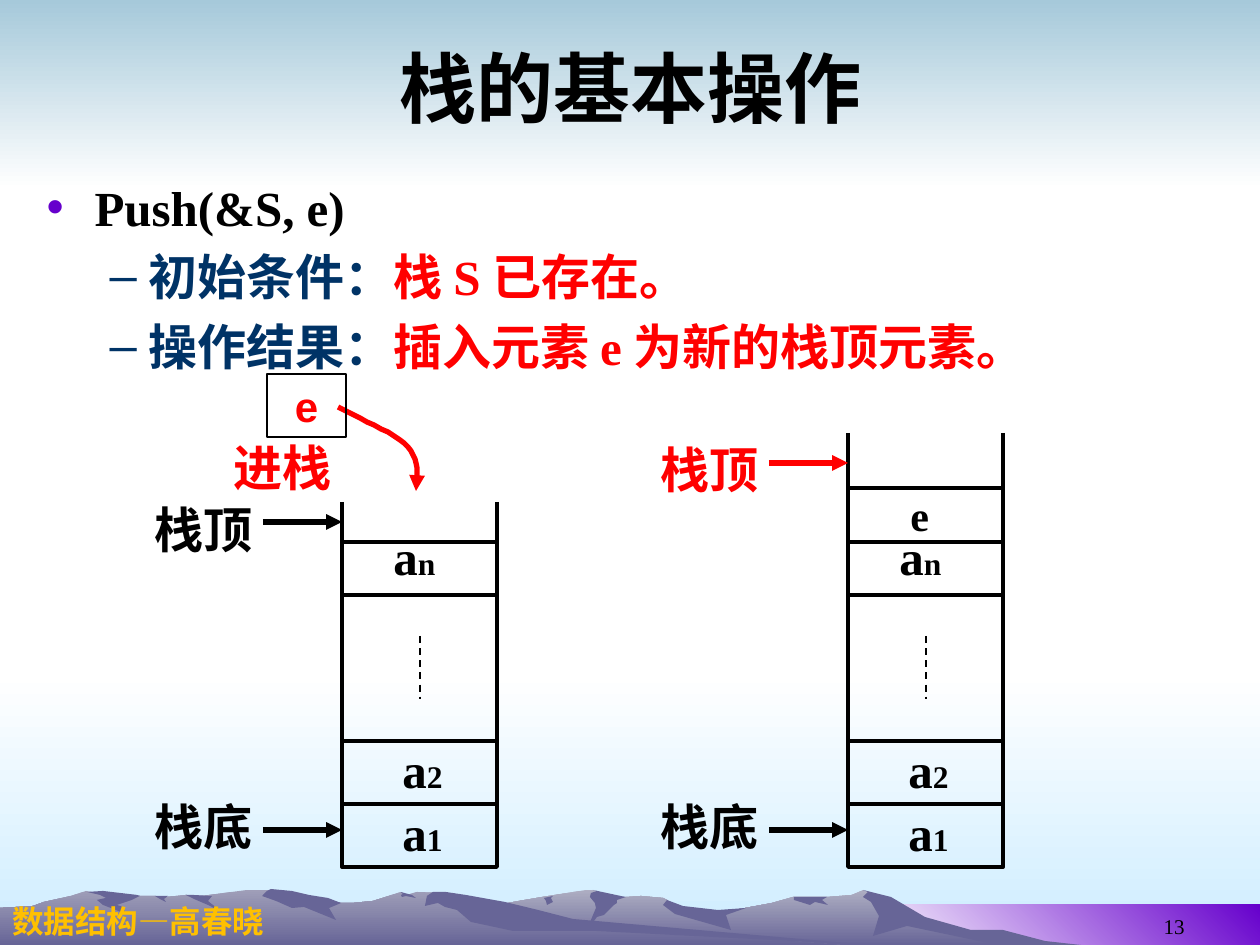
"""Build the slide on pushing an element onto a stack."""
from lxml import etree
from pptx import Presentation
from pptx import util as u
from pptx.dml import color
from pptx.enum import dml, shapes, text
from pptx.oxml import ns

SCALE = 914400 / 126
SERIF, SANS, CJK = "Times New Roman", "Arial", "Noto Sans CJK SC"
BLACK, RED, NAVY, PURPLE, SHADE = "000000", "FF0000", "003366", "6600CC", "676597"
RIGHT_RIDGE = [
    (1011, 940), (980, 932), (963, 930), (911, 914), (885, 897), (863, 890), (852, 895),
    (827, 897), (793, 897), (772, 903), (713, 914), (675, 908), (667, 900), (663, 898),
    (641, 896), (626, 897), (612, 898), (597, 891), (593, 890), (586, 890), (567, 893),
    (542, 897), (519, 901), (497, 905), (447, 914), (412, 921), (349, 939), (325, 945), (1034, 945)]
RIGHT_FACETS = [
    [(1003, 930), (971, 930), (925, 917), (891, 897), (863, 890), (868, 892), (863, 897),
     (871, 902), (879, 916), (873, 936), (907, 926), (998, 945), (1081, 945), (1045, 941)],
    [(593, 890), (597, 891), (591, 893), (590, 897), (595, 903), (596, 908), (586, 932),
     (597, 917), (604, 915), (614, 905), (617, 903), (617, 900), (626, 897), (621, 896)],
    [(667, 900), (663, 905), (675, 914), (731, 930), (726, 915), (746, 908), (718, 910), (683, 906)],
    [(819, 897), (794, 897), (794, 900), (810, 905), (815, 902), (828, 905), (822, 900), (827, 897)],
    [(546, 901), (544, 898), (553, 896), (551, 898), (553, 902), (547, 905)]]
LEFT_RIDGE = [
    (869, 945), (840, 945), (544, 922), (446, 893), (417, 892), (407, 895), (401, 892),
    (373, 901), (352, 903), (341, 903), (328, 901), (297, 903), (281, 892), (271, 890),
    (247, 890), (224, 893), (202, 896), (186, 895), (166, 897), (155, 896), (140, 896),
    (118, 897), (86, 891), (71, 896), (44, 902), (33, 906), (0, 908), (0, 945)]
LEFT_FACETS = [
    [(267, 891), (262, 896), (276, 901), (292, 908), (304, 907), (336, 920), (329, 908),
     (341, 903), (328, 898), (309, 895), (292, 891), (271, 889)],
    [(466, 895), (446, 892), (433, 892), (427, 896), (425, 906), (438, 903), (445, 907), (457, 910),
     (471, 922), (513, 931), (595, 931), (869, 945), (573, 919), (538, 910), (505, 902)],
    [(401, 895), (403, 894), (401, 892), (412, 895), (416, 898), (406, 896), (402, 897)],
    [(194, 895), (212, 896), (208, 901), (213, 905), (222, 912), (208, 905), (194, 899), (186, 895)],
    [(168, 896), (164, 899), (166, 902), (160, 899), (155, 896)],
    [(137, 895), (140, 896), (132, 900), (117, 905), (123, 907), (126, 914), (103, 905),
     (97, 900), (106, 898), (100, 895), (87, 892), (103, 891)]]


def px(*lengths):
    return [round(length * SCALE) for length in lengths]


def rgb(value):
    return color.RGBColor.from_string(value)


def add_span(para, words, size, font, shade, bold=True):
    span = para.add_run()
    span.text = words
    span.font.size, span.font.name, span.font.bold = u.Pt(size), font, bold
    span.font.color.rgb = rgb(shade)


def paint(shape, colours, angle=90):
    shape.shadow.inherit = False
    shape.line.fill.background()
    if len(colours) == 1:
        shape.fill.solid()
        shape.fill.fore_color.rgb = rgb(colours[0])
        return
    shape.fill.gradient()
    shape.fill.gradient_angle = 360 - angle
    for stop, shade in zip(shape.fill.gradient_stops, colours):
        stop.color.rgb = rgb(shade)


def outline(shape, shade, width):
    shape.line.color.rgb = rgb(shade)
    shape.line.width = u.Pt(width)


def add_rect(page, left, top, width, height):
    shape = page.shapes.add_shape(shapes.MSO_SHAPE.RECTANGLE, *px(left, top, width, height))
    shape.shadow.inherit = False
    shape.fill.background()
    return shape


def add_path(page, points, close=True):
    builder = page.shapes.build_freeform(*points[0], scale=SCALE)
    builder.add_line_segments(points[1:], close=close)
    shape = builder.convert_to_shape()
    shape.shadow.inherit = False
    return shape


def add_head(shape):
    etree.SubElement(shape.line._get_or_add_ln(), ns.qn("a:tailEnd"), type="triangle")


def add_line(page, start, end, shade=BLACK, width=2.25, dashed=False, arrow=False):
    line = page.shapes.add_connector(shapes.MSO_CONNECTOR.STRAIGHT, *px(*start, *end))
    outline(line, shade, width)
    if dashed:
        line.line.dash_style = dml.MSO_LINE.DASH
    if arrow:
        add_head(line)
    etree.SubElement(line.element.spPr, ns.qn("a:effectLst"))


def add_label(page, place, spans, font=SERIF, shade=BLACK, align="LEFT", bold=True):
    box = page.shapes.add_textbox(*px(*place))
    box.text_frame.word_wrap = True
    para = box.text_frame.paragraphs[0]
    para.alignment = text.PP_ALIGN[align]
    for words, size in spans:
        add_span(para, words, size, font, shade, bold)
    return box


def add_pointer(page, words, tip, y, top, font=SERIF, shade=BLACK):
    add_label(page, (tip - 247, top, 170, 72), [(words, 28)], font, shade, "RIGHT")
    add_line(page, (tip - 79, y), (tip, y), shade, 3, arrow=True)


def add_stack(page, left, wall_top):
    right, middle = left + 155, left + 78
    outline(add_rect(page, left, 542, 155, 325), BLACK, 2.25)
    for y in (595, 741, 804):
        add_line(page, (left, y), (right, y))
    for x in (left, right):
        add_line(page, (x, wall_top), (x, 547))
    add_line(page, (middle, 636), (middle, 699), width=1, dashed=True)
    for index, shift, top in (("n", 39, 520), ("2", 48, 733), ("1", 48, 796)):
        add_label(page, (left + shift, top, 78, 72), [("a", 28), (index, 18)])


def add_backdrop(page):
    paint(add_rect(page, 0, 672, 1260, 273), ["FFFFFF", "CCECFF"])
    paint(add_rect(page, 0, 0, 1260, 189), ["A6C9DA", "FFFFFF"])
    paint(add_rect(page, 861, 905, 399, 40), ["FFFFFF", PURPLE], 315)
    for ridge, top_shade, facets in ((RIGHT_RIDGE, "AEAEC2", RIGHT_FACETS),
                                     (LEFT_RIDGE, "9F9EB8", LEFT_FACETS)):
        paint(add_path(page, ridge), [top_shade, SHADE])
        for facet in facets:
            paint(add_path(page, facet), [SHADE])
    add_label(page, (0, 896, 384, 50), [("数据结构—高春晓", 18)], SANS, "FFC000")
    number = add_label(page, (903, 886, 294, 59), [("13", 12)], align="RIGHT", bold=False)
    number.text_frame.vertical_anchor = text.MSO_ANCHOR.BOTTOM


def place_holder(shape, *place):
    shape.element.getparent().append(shape.element)
    shape.left, shape.top, shape.width, shape.height = px(*place)
    shape.text_frame.auto_size = text.MSO_AUTO_SIZE.NONE
    return shape.text_frame


def add_bullet(para, level, mark, shade, margin, indent):
    para.level = level
    props = para._p.get_or_add_pPr()
    props.set("marL", str(px(margin)[0]))
    props.set("indent", str(px(indent)[0]))
    para.space_before = u.Pt(6 if level else 0)
    tint = etree.SubElement(props, ns.qn("a:buClr"))
    etree.SubElement(tint, ns.qn("a:srgbClr"), val=shade)
    etree.SubElement(props, ns.qn("a:buChar"), char=mark)


def fill_text(page):
    title = place_holder(page.shapes.title, 64, 16, 1134, 141)
    title.vertical_anchor = text.MSO_ANCHOR.MIDDLE
    title.paragraphs[0].alignment = text.PP_ALIGN.CENTER
    add_span(title.paragraphs[0], "栈的基本操作", 44, SERIF, BLACK)
    body = place_holder(page.placeholders[1], 34, 171, 1191, 708)
    add_bullet(body.paragraphs[0], 0, "•", PURPLE, 48, -48)
    add_span(body.paragraphs[0], "Push(&S, e)", 28, SERIF, BLACK)
    for name, meaning in (("初始条件：", "栈 S 已存在。"), ("操作结果：", "插入元素 e 为新的栈顶元素。")):
        para = body.add_paragraph()
        add_bullet(para, 1, "–", NAVY, 102, -39)
        add_span(para, name, 28, SERIF, NAVY)
        add_span(para, meaning, 28, SERIF, RED)


def bezier(a, b, c, d, steps=12):
    """Return points along a cubic curve, without its start."""
    times = [step / steps for step in range(1, steps + 1)]
    return [tuple((1 - t) ** 3 * p + 3 * t * (1 - t) ** 2 * q + 3 * t * t * (1 - t) * r + t ** 3 * s
                  for p, q, r, s in zip(a, b, c, d)) for t in times]


def add_push(page):
    add_label(page, (214, 431, 137, 72), [("进栈", 28)], CJK, RED, "CENTER")
    start, bend, end = (338, 407), (408, 447), (416, 491)
    points = [start, *bezier(start, (353, 416), (396, 433), bend),
              *bezier(bend, (422, 461), (415, 485), end)]
    curve = add_path(page, points, close=False)
    curve.fill.background()
    outline(curve, RED, 3)
    add_head(curve)
    element = add_rect(page, 267, 374, 79, 63)
    outline(element, BLACK, 0.75)
    para = element.text_frame.paragraphs[0]
    para.alignment = text.PP_ALIGN.CENTER
    add_span(para, "e", 24, SANS, RED)


def main():
    deck = Presentation()
    deck.slide_width, deck.slide_height = px(1260, 945)
    page = deck.slides.add_slide(deck.slide_layouts[1])
    add_backdrop(page)
    fill_text(page)
    add_stack(page, 342, 502)
    add_pointer(page, "栈顶", 342, 522, 493)
    add_pointer(page, "栈底", 342, 830, 790)
    add_stack(page, 848, 433)
    add_line(page, (848, 488), (1003, 488))
    add_label(page, (898, 483, 89, 63), [("e", 24)])
    add_pointer(page, "栈顶", 848, 463, 433, CJK, RED)
    add_pointer(page, "栈底", 848, 830, 790, CJK)
    add_push(page)
    deck.save("out.pptx")


if __name__ == "__main__":
    main()
